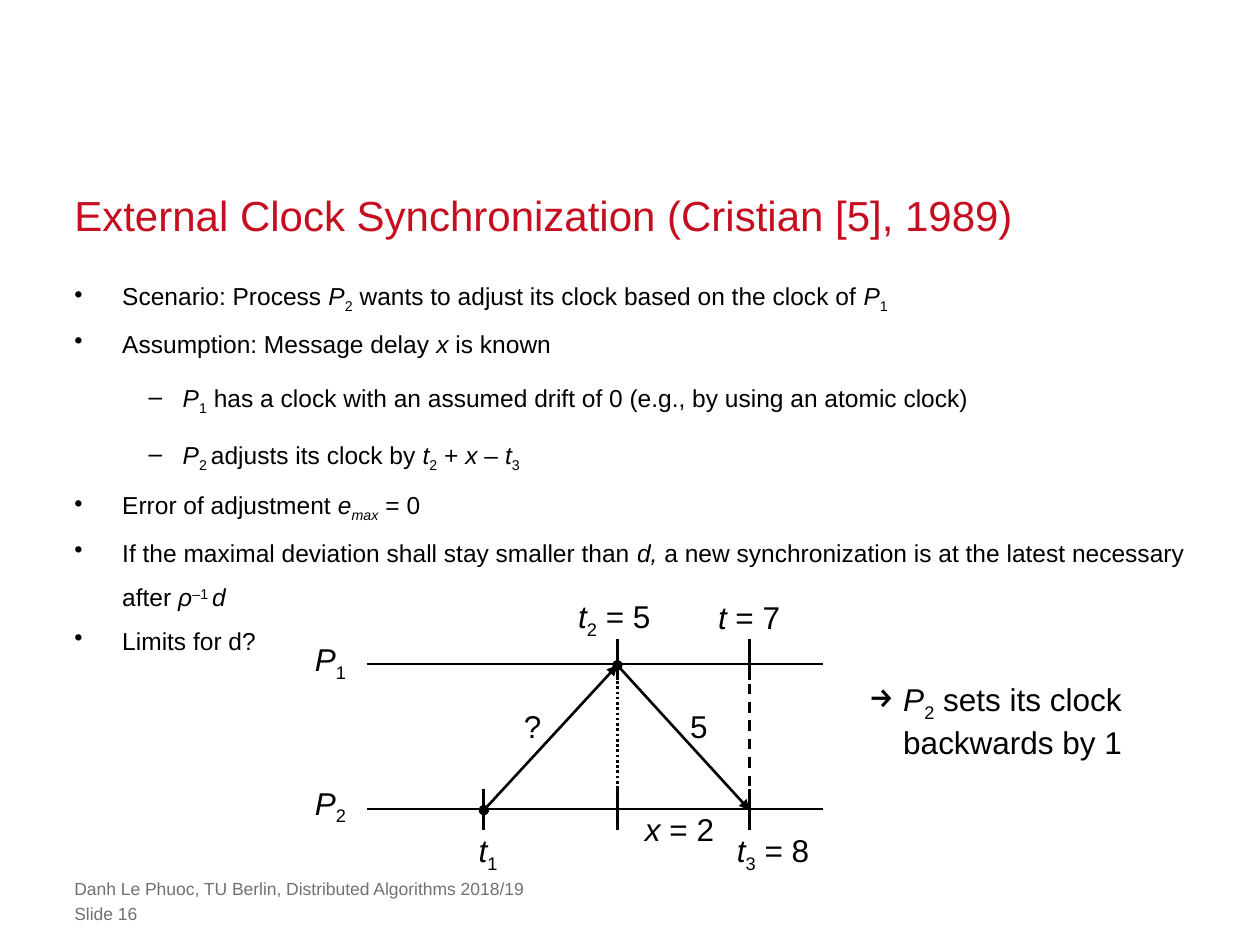
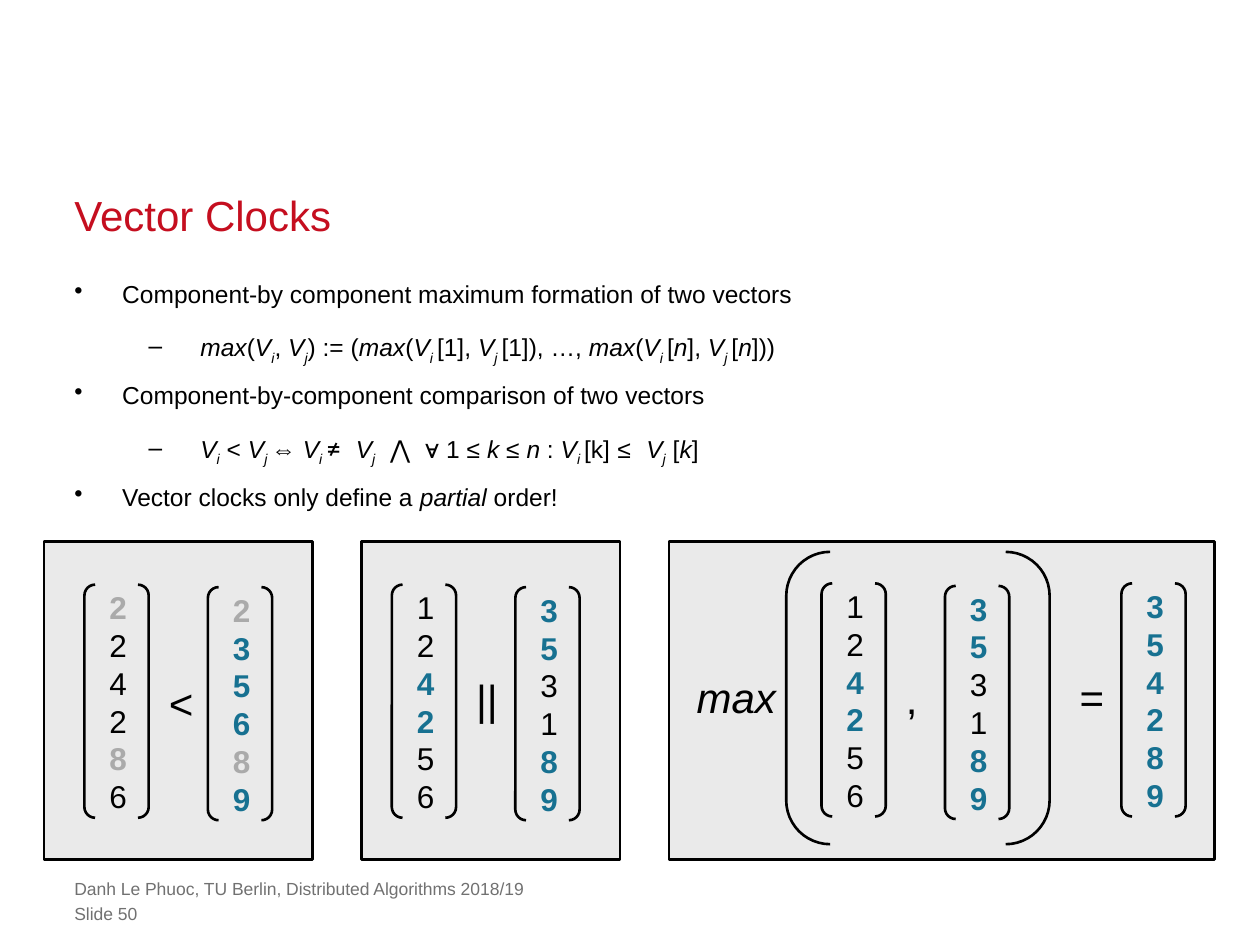
from itertools import groupby
from lxml import etree
from pptx import Presentation
from pptx import util as u
from pptx.dml.color import RGBColor
from pptx.enum import dml, shapes, text
from pptx.oxml.ns import qn

hues = {"red": "C50E1F", "ink": "000000", "foot": "717171",
        "panel": "EAEAEA", "same": "AAAAAA", "more": "177191"}
marks = {"*": "ital", "_": "sub", "^": "sup", "`": "mono", "~": "fixed"}
fonts = {"mono": "Noto Sans Mono", "fixed": "Courier New"}


def write(page, box, lines, size=18, hue="ink", wrap=False):
    frame = page.shapes.add_textbox(*map(u.Inches, box)).text_frame
    frame.word_wrap = wrap
    if wrap:
        frame.margin_left = frame.margin_right = 0
        frame.margin_top = frame.margin_bottom = 0
    else:
        frame.auto_size = text.MSO_AUTO_SIZE.SHAPE_TO_FIT_TEXT
    for row, line in enumerate(lines):
        para = frame.paragraphs[0] if row == 0 else frame.add_paragraph()
        live, chars = set(), []
        for char in line:
            if char in marks:
                live ^= {marks[char]}
            else:
                chars.append((char, frozenset(live)))
        for style, group in groupby(chars, lambda pair: pair[1]):
            run = para.add_run()
            run.text = "".join(char for char, _ in group)
            font = run.font
            font.size = u.Pt(size)
            font.color.rgb = RGBColor.from_string(hues[hue])
            font.italic = "ital" in style
            font.name = next((fonts[k] for k in fonts if k in style), "Arial")
            if "sub" in style:
                font._element.set("baseline", "-25000")
            if "sup" in style:
                font._element.set("baseline", "30000")
    return frame


def indent(para, left, hang, sign=None):
    props = para._p.get_or_add_pPr()
    props.set("marL", str(u.Inches(left)))
    props.set("indent", str(u.Inches(-hang)))
    if sign:
        etree.SubElement(props, qn("a:buChar")).set("char", sign)


deck = Presentation()
deck.slide_width, deck.slide_height = u.Inches(10), u.Inches(7.5)

plans = [
    (16, "External Clock Synchronization (Cristian [5], 1989)", 3.15, (0.86, 0.27), [
        "Scenario: Process *P*_2_ wants to adjust its clock based on the clock of *P*_1_",
        "Assumption: Message delay *x* is known",
        "-*P*_1_ has a clock with an assumed drift of 0 (e.g., by using an atomic clock)",
        "-*P*_2 _adjusts its clock by *t*_2_ + *x* – *t*_3_",
        "Error of adjustment *e_max_* = 0",
        "If the maximal deviation shall stay smaller than *d, *a new synchronization "
        "is at the latest necessary after *ρ*^–1 ^*d*",
        "Limits for d?"]),
    (50, "Vector Clocks", 2.13, (1, 0.41), [
        "Component-by component maximum formation of two vectors",
        "-*max*(*V_i_*, *V_j_*) := (*max*(*V_i _*[1], *V_j _*[1]), …, "
        "*max*(*V_i _*[*n*], *V_j _*[*n*]))",
        "Component-by-component comparison of two vectors",
        "-*V_i_* < *V_j _*⇔ *V_i _*`≠ `*V_j_*` ⋀ `∀ 1 ≤ *k* ≤ *n* : "
        "*V_i _*[k] ~≤ ~*V_j_* [*k*]",
        "Vector clocks only define a *partial* order!"]),
]
pages = []
for number, title, height, inner, points in plans:
    page = deck.slides.add_slide(deck.slide_layouts[6])
    pages.append(page)
    head = write(page, (0.59, 1.48, 8.82, 0.42), [title], 24, "red", True)
    head.vertical_anchor = text.MSO_ANCHOR.BOTTOM
    head.paragraphs[0].line_spacing = 1.5
    body = write(page, (0.59, 2.1, 8.82, height),
                 [point.removeprefix("-") for point in points], 14, wrap=True)
    for para, point in zip(body.paragraphs, points):
        para.line_spacing = 1.5
        if point.startswith("-"):
            para.level = 1
            para.space_before = u.Pt(4)
            indent(para, *inner, "–")
        else:
            indent(para, 0.38, 0.38, "•")
    write(page, (0.59, 6.97, 7.24, 0.17),
          ["Danh Le Phuoc, TU Berlin, Distributed Algorithms 2018/19"], 10, "foot", True)
    write(page, (0.59, 7.17, 7.24, 0.17), [f"Slide {number}"], 10, "foot", True)

clock, vector = pages
top, low = 5.28, 6.43
send, meet, end = 3.84, 4.9, 5.95
dash = dml.MSO_LINE
links = [(2.91, 5.27, 6.53, 5.27, None), (2.91, 6.42, 6.53, 6.42, None),
         (send, low, meet, top, "arrow"), (meet, top, end, low, "arrow"),
         (end, top, end, low, dash.DASH), (meet, top, meet, low, dash.ROUND_DOT)]
links += [(x, 5.07, x, 5.4, None) for x in (meet, end)]
links += [(x, 6.26, x, 6.59, None) for x in (send, meet, end)]
for *ends, kind in links:
    link = clock.shapes.add_connector(shapes.MSO_CONNECTOR.STRAIGHT, *map(u.Inches, ends))
    link.line.width = u.Pt(1.5)
    link.line.color.rgb = RGBColor.from_string(hues["ink"])
    if kind == "arrow":
        stroke = link.line._get_or_add_ln()
        etree.SubElement(stroke, qn("a:headEnd")).set("type", "oval")
        etree.SubElement(stroke, qn("a:tailEnd")).set("type", "triangle")
    elif kind:
        link.line.dash_style = kind
    etree.SubElement(link._element.spPr, qn("a:effectLst"))

for x, y, width, label in [
        (2.4, 5.03, 0.46, "*P*_1_"), (2.4, 6.17, 0.46, "*P*_2_"),
        (4.06, 5.56, 0.34, "?"), (5.38, 5.56, 0.34, "5"),
        (4.49, 4.69, 0.79, "*t*_2_ = 5"), (5.6, 4.7, 0.69, "*t* = 7"),
        (3.7, 6.55, 0.36, "*t*_1_"), (5.75, 6.55, 0.79, "*t*_3_ = 8"),
        (5.02, 6.38, 0.75, "*x* = 2")]:
    write(clock, (x, y, width, 0.4), [label])
note = write(clock, (6.8, 5.35, 2.28, 0.71), ["*P*_2_ sets its clock", "backwards by 1"])
indent(note.paragraphs[0], 0.27, 0.27, "→")
indent(note.paragraphs[1], 0.27, 0)

cols = [(0.67, 4.64, "224286", "skkksk"), (1.65, 4.66, "235689", "smmmsm"),
        (3.11, 4.64, "124256", "kkmmkk"), (4.09, 4.66, "353189", "mmkkmm"),
        (6.52, 4.63, "124256", "kkmmkk"), (7.5, 4.65, "353189", "mmkkmm"),
        (8.9, 4.63, "354289", "mmmmmm")]
rect, pair = shapes.MSO_SHAPE.RECTANGLE, shapes.MSO_SHAPE.DOUBLE_BRACKET
frames = [(rect, x, 4.3, width, 2.52)
          for x, width in ((5.31, 4.33), (2.87, 2.05), (0.35, 2.13))]
frames += [(pair, x, y, 0.51, 1.85) for x, y, _, _ in cols]
frames.append((pair, 6.24, 4.38, 2.09, 2.32))
for kind, *box in frames:
    item = vector.shapes.add_shape(kind, *map(u.Inches, box))
    item.shadow.inherit = False
    item.line.width = u.Pt(1.5)
    item.line.color.rgb = RGBColor.from_string(hues["ink"])
    if kind == rect:
        item.fill.solid()
        item.fill.fore_color.rgb = RGBColor.from_string(hues["panel"])
    else:
        item.fill.background()

tones = {"s": "same", "m": "more"}
for x, y, digits, keys in cols:
    frame = write(vector, (x + 0.1, y - 0.02, 0.34, 1.9), digits)
    for para, key in zip(frame.paragraphs, keys):
        if key in tones:
            font = para.runs[0].font
            font.bold = True
            font.color.rgb = RGBColor.from_string(hues[tones[key]])

for x, y, width, sign in [(1.24, 5.33, 0.4, "~<~"), (3.68, 5.3, 0.38, "||"),
                          (5.43, 5.28, 0.83, "*max*"), (7.09, 5.29, 0.29, ","),
                          (8.47, 5.28, 0.4, "=")]:
    write(vector, (x, y, width, 0.5), [sign], 24)

deck.save("out.pptx")
